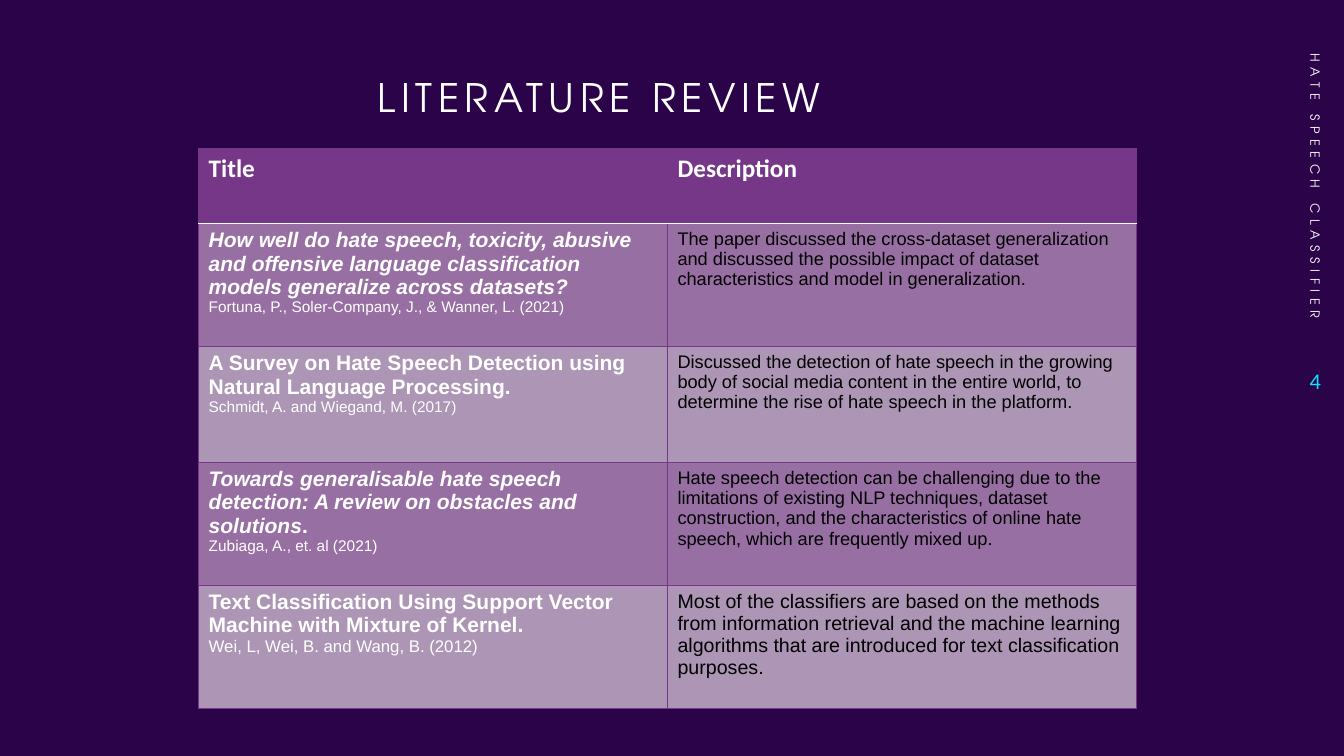
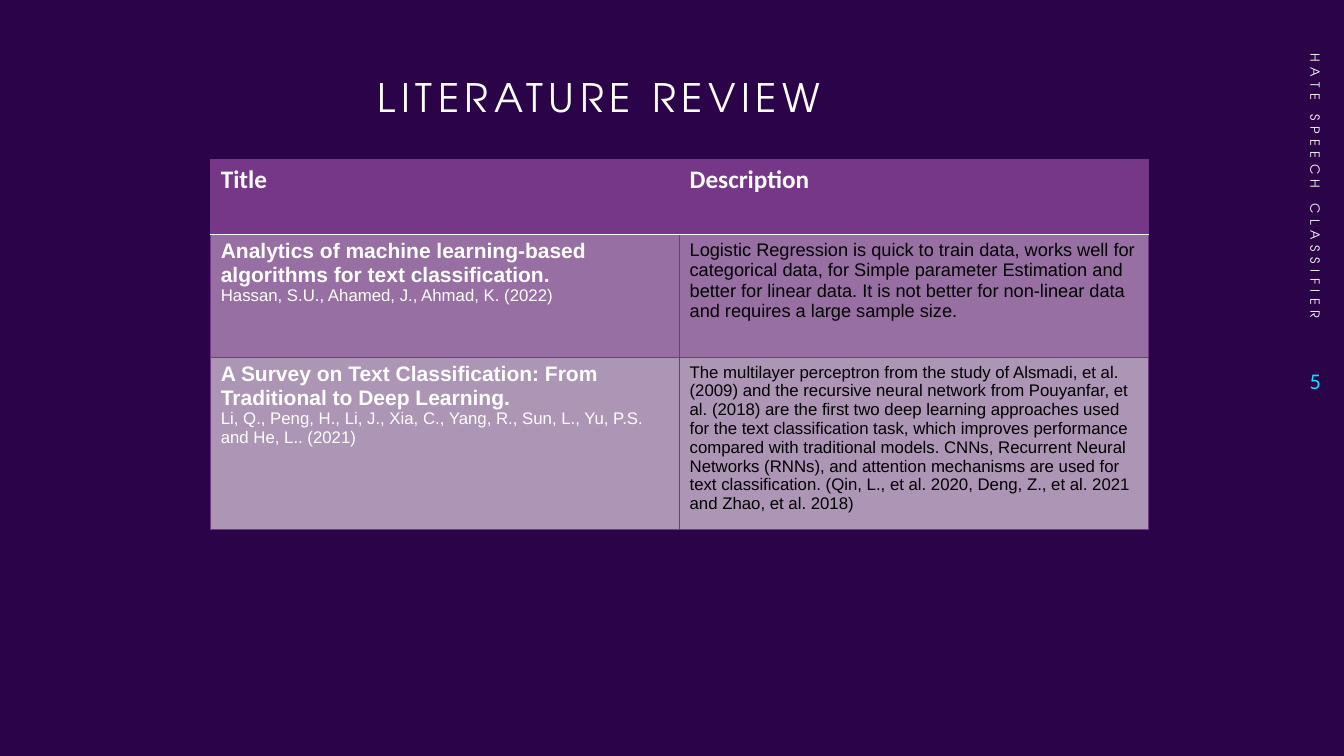
from lxml.etree import SubElement
from pptx import Presentation
from pptx.dml.color import RGBColor
from pptx.enum.text import MSO_ANCHOR as Anchor, PP_ALIGN as Align
from pptx.oxml.ns import qn
from pptx.util import Inches, Pt

BACKGROUND, PURPLE, WHITE, BLACK, CYAN = "2B0348", "763788", "FFFFFF", "000000", "0BE1FF"
BANDS = ("976FA3", "AD95B5")
COLUMN_WIDTH = 4.65
HEADER_HEIGHT = 0.75

SPACED = {"name": "TeX Gyre Adventor", "color": WHITE, "spacing": 4}
TITLE = SPACED | {"size": 28}
FOOTER = SPACED | {"size": 9}
PAGE_NUMBER = {"name": "Calibri", "size": 16, "color": CYAN}
HEADER = {"name": "Calibri", "size": 18, "color": WHITE, "bold": True}
PAPER = {"name": "Arial", "size": 15, "color": WHITE, "bold": True}
PAPER_ITALIC = PAPER | {"italic": True}
AUTHORS = {"name": "Arial", "size": 11, "color": WHITE, "bold": False}
AUTHORS_LARGE = AUTHORS | {"size": 12}
DESCRIPTION = {"name": "Arial", "size": 13, "color": BLACK}

# Each review: row height, title runs, authors run, description run
REVIEWS = [
    {
        "number": "4", "left": 1.97, "top": 1.47,
        "rows": [
            (1.22,
             [("How well do hate speech, toxicity, abusive and offensive language "
               "classification models generalize across datasets?", PAPER_ITALIC)],
             ("Fortuna, P., Soler-Company, J., & Wanner, L. (2021)", AUTHORS),
             ("The paper discussed the cross-dataset generalization and discussed the possible "
              "impact of dataset characteristics and model in generalization.", DESCRIPTION)),
            (1.15,
             [("A Survey on Hate Speech Detection using Natural Language Processing.", PAPER)],
             ("Schmidt, A. and Wiegand, M. (2017)", AUTHORS),
             ("Discussed the detection of hate speech in the growing body of social media content "
              "in the entire world, to determine the rise of hate speech in the platform.",
              DESCRIPTION)),
            (1.22,
             [("Towards generalisable hate speech detection: A review on obstacles and solutions",
               PAPER_ITALIC), (".", PAPER)],
             ("Zubiaga, A., et. al (2021)", AUTHORS),
             ("Hate speech detection can be challenging due to the limitations of existing NLP "
              "techniques, dataset construction, and the characteristics of online "
              "hate speech, which are frequently mixed up.", DESCRIPTION)),
            (1.22,
             [("Text Classification Using Support Vector Machine with Mixture of Kernel.", PAPER)],
             ("Wei, L, Wei, B. and Wang, B. (2012)", AUTHORS_LARGE),
             ("Most of the classifiers are based on the methods from information retrieval and the "
              "machine learning algorithms that are introduced for text classification purposes.",
              DESCRIPTION | {"size": 14})),
        ],
    },
    {
        "number": "5", "left": 2.09, "top": 1.58,
        "rows": [
            (1.22,
             [("Analytics of machine learning-based algorithms for text classification.", PAPER)],
             ("Hassan, S.U., Ahamed, J., Ahmad, K. (2022)", AUTHORS_LARGE),
             ("Logistic Regression is quick to train data, works well for categorical data, for "
              "Simple parameter Estimation and better for linear data. It is not better for "
              "non-linear data and requires a large sample size.", DESCRIPTION)),
            (1.59,
             [("A Survey on Text Classification: From Traditional to Deep Learning.", PAPER)],
             ("Li, Q., Peng, H., Li, J., Xia, C., Yang, R., Sun, L., Yu, P.S. and He, L.. (2021)",
              AUTHORS_LARGE),
             ("The multilayer perceptron from the study of Alsmadi, et al. (2009) and the recursive "
              "neural network from Pouyanfar, et al. (2018) are the first two deep learning "
              "approaches used for the text classification task, which improves performance "
              "compared with traditional models. CNNs, Recurrent Neural Networks (RNNs), and "
              "attention mechanisms are used for text classification. (Qin, L., et al. 2020, "
              "Deng, Z., et al. 2021 and Zhao, et al. 2018)", DESCRIPTION | {"size": 12})),
        ],
    },
]


def rgb(value):
    return RGBColor.from_string(value)


def add_run(paragraph, text, style):
    run = paragraph.add_run()
    run.text = text
    for key, value in style.items():
        if key == "color":
            run.font.color.rgb = rgb(value)
        elif key == "spacing":
            run._r.get_or_add_rPr().set("spc", str(value * 100))
        else:
            setattr(run.font, key, Pt(value) if key == "size" else value)


def add_text(slide, box, text, style, align=Align.LEFT, anchor=Anchor.TOP, rotation=0,
             line_spacing=1.0):
    shape = slide.shapes.add_textbox(*map(Inches, box))
    shape.rotation = rotation
    frame = shape.text_frame
    frame.word_wrap = True
    frame.vertical_anchor = anchor
    paragraph = frame.paragraphs[0]
    paragraph.alignment = align
    paragraph.line_spacing = line_spacing
    add_run(paragraph, text, style)


def set_borders(cell, colors):
    """Draw the left, right, top and bottom borders; white ones are heavier."""
    properties = cell._tc.get_or_add_tcPr()
    for side, color in zip("LRTB", colors):
        width = Pt(1) if color == WHITE else Pt(0.5)
        line = SubElement(properties, qn(f"a:ln{side}"), w=str(int(width)))
        fill = SubElement(line, qn("a:solidFill"))
        SubElement(fill, qn("a:srgbClr"), val=color)


def fill_cell(cell, paragraphs, fill, top=PURPLE, bottom=PURPLE):
    """Write a list of paragraphs, each a list of (text, style) runs."""
    set_borders(cell, (PURPLE, PURPLE, top, bottom))
    cell.fill.solid()
    cell.fill.fore_color.rgb = rgb(fill)
    frame = cell.text_frame
    for index, runs in enumerate(paragraphs):
        paragraph = frame.add_paragraph() if index else frame.paragraphs[0]
        for text, style in runs:
            add_run(paragraph, text, style)


def add_review_table(slide, left, top, rows):
    heights = [HEADER_HEIGHT] + [row[0] for row in rows]
    box = (left, top, 2 * COLUMN_WIDTH, sum(heights))
    table = slide.shapes.add_table(len(heights), 2, *map(Inches, box)).table
    table.horz_banding = False
    for column in table.columns:
        column.width = Inches(COLUMN_WIDTH)
    for row, height in zip(table.rows, heights):
        row.height = Inches(height)
    for column, heading in enumerate(("Title", "Description")):
        fill_cell(table.cell(0, column), [[(heading, HEADER)]], PURPLE, bottom=WHITE)
    for index, (_, title, authors, description) in enumerate(rows):
        band = BANDS[index % 2]
        edge = PURPLE if index else WHITE
        fill_cell(table.cell(index + 1, 0), [title, [authors]], band, top=edge)
        fill_cell(table.cell(index + 1, 1), [[description]], band, top=edge)


def add_review_slide(presentation, number, left, top, rows):
    slide = presentation.slides.add_slide(presentation.slide_layouts[6])
    add_text(slide, (3.65, 0.73, 5.38, 0.73), "LITERATURE REVIEW", TITLE, line_spacing=0.9)
    add_text(slide, (11.53, 1.54, 3.03, 0.4), "HATE SPEECH CLASSIFIER", FOOTER,
             Align.RIGHT, Anchor.MIDDLE, rotation=90)
    add_text(slide, (12.6, 3.46, 0.6, 0.63), number, PAGE_NUMBER, Align.RIGHT, Anchor.MIDDLE)
    add_review_table(slide, left, top, rows)


def main():
    presentation = Presentation()
    presentation.slide_width = Inches(13.33)
    presentation.slide_height = Inches(7.5)
    background = presentation.slide_master.background.fill
    background.solid()
    background.fore_color.rgb = rgb(BACKGROUND)
    for review in REVIEWS:
        add_review_slide(presentation, **review)
    presentation.save("out.pptx")


if __name__ == "__main__":
    main()
